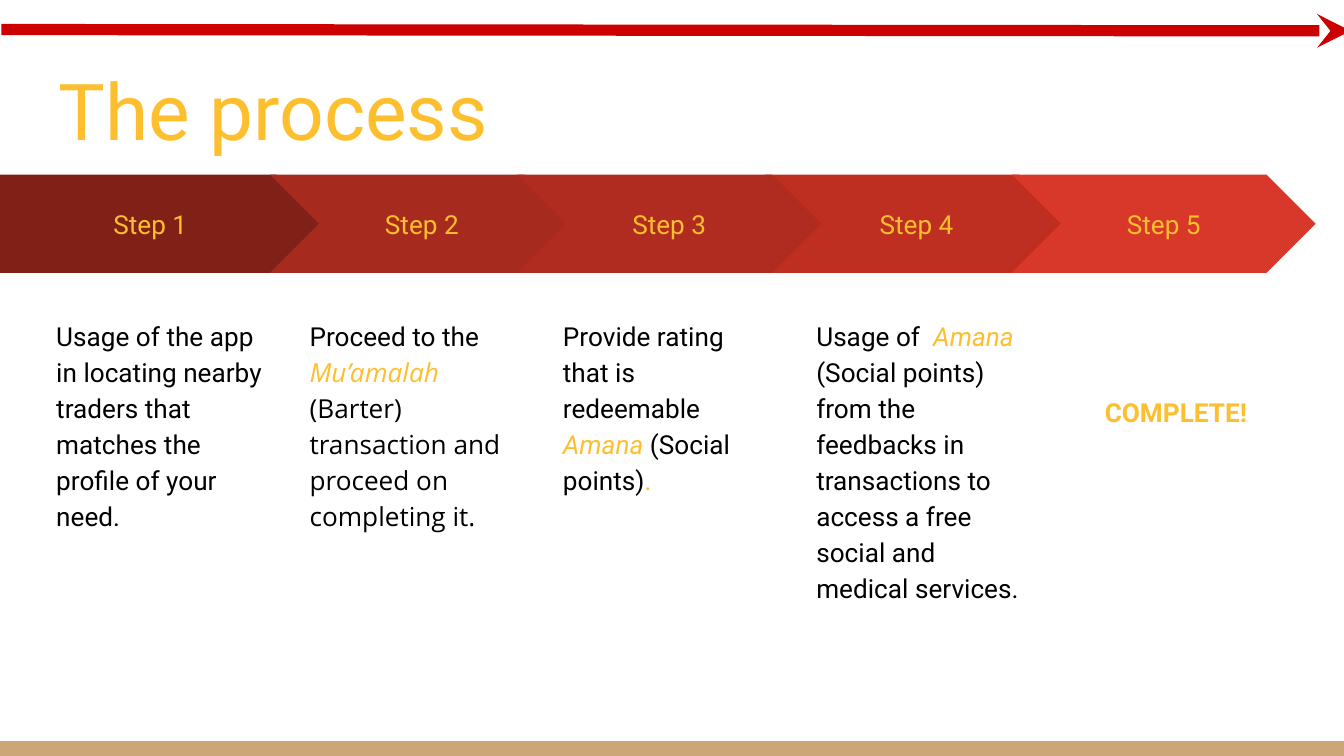
from dataclasses import dataclass

import pptx
import pptx.dml.color
import pptx.enum.shapes
import pptx.enum.text
import pptx.oxml
import pptx.oxml.ns
import pptx.util

SHAPES = pptx.enum.shapes.MSO_SHAPE
ALIGN = pptx.enum.text.PP_ALIGN
ANCHOR = pptx.enum.text.MSO_ANCHOR
inches = pptx.util.Inches


@dataclass(frozen=True)
class Theme:
    gold: str = "FDBF2D"
    ink: str = "000000"
    footer: str = "CCA677"
    arrow: str = "CC0000"
    steps: tuple = ("802017", "A72A1E", "B02C20", "BE2F22", "D83829")
    font: str = "Roboto"
    alternate_font: str = "Open Sans"
    title_size: int = 42
    body_size: int = 14
    line_spacing: float = 1.15


THEME = Theme()
SLIDE_WIDTH, SLIDE_HEIGHT = 10, 5.625
INSET = 0.1

# Grid: one row of step arrows above one row of descriptions
STEP_TOP, STEP_HEIGHT = 1.3, 0.73
FIRST_STEP_WIDTH, STEP_WIDTH = 2.42, 2.26
STEP_LEFT, STEP_PITCH = 0.17, 1.84
BODY_TOP, BODY_WIDTH, BODY_HEIGHT = 2.25, 1.78, 2.57
BODY_LEFT, BODY_PITCH = 0.32, 1.885
LINE_HEIGHT = 0.267

TERM = {"color": THEME.gold, "italic": True}
ALTERNATE = {"font": THEME.alternate_font}
DESCRIPTIONS = (
    [("Usage of the app in locating nearby traders that matches the "
      "profile of your need.", {})],
    [("Proceed to the ", {}),
     ("Mu’amalah", TERM | ALTERNATE),
     (" (Barter) transaction and proceed on completing it.", ALTERNATE)],
    [("Provide rating that is redeemable ", {}),
     ("Amana ", TERM),
     ("(Social points)", {}),
     (".", {"color": THEME.gold})],
    [("Usage of  ", {}),
     ("Amana ", TERM),
     ("(Social points) from the feedbacks in transactions to access a free "
      "social and medical services.", {})],
    [("COMPLETE!", {"color": THEME.gold, "bold": True})],
)


def rgb(value):
    return pptx.dml.color.RGBColor.from_string(value)


def write(shape, runs, size=THEME.body_size, color=THEME.ink, align=ALIGN.LEFT,
          anchor=ANCHOR.TOP, spacing=None, lines_down=0):
    """Fill a shape with runs of (text, format), lowered by whole lines."""
    frame = shape.text_frame
    frame.word_wrap = True
    frame.vertical_anchor = anchor
    frame.margin_left = frame.margin_right = frame.margin_bottom = inches(INSET)
    frame.margin_top = inches(INSET + lines_down * LINE_HEIGHT)
    paragraph = frame.paragraphs[0]
    paragraph.alignment = align
    paragraph.line_spacing = spacing
    for text, style in runs:
        run = paragraph.add_run()
        run.text = text
        run.font.size = pptx.util.Pt(size)
        run.font.name = style.get("font", THEME.font)
        run.font.color.rgb = rgb(style.get("color", color))
        run.font.bold = style.get("bold", False)
        run.font.italic = style.get("italic", False)


def add_block(slide, kind, box, fill):
    block = slide.shapes.add_shape(kind, *map(inches, box))
    block.shadow.inherit = False
    block.fill.solid()
    block.fill.fore_color.rgb = rgb(fill)
    block.line.fill.background()
    return block


def add_text(slide, box, runs, **style):
    write(slide.shapes.add_textbox(*map(inches, box)), runs, **style)


def add_step(slide, column):
    first = column == 0
    left = 0 if first else STEP_LEFT + column * STEP_PITCH
    width = FIRST_STEP_WIDTH if first else STEP_WIDTH
    kind = SHAPES.PENTAGON if first else SHAPES.CHEVRON
    step = add_block(slide, kind, (left, STEP_TOP, width, STEP_HEIGHT),
                     THEME.steps[column])
    step.adjustments[0] = 0.5
    write(step, [(f"Step {column + 1}", {})], color=THEME.gold,
          align=ALIGN.CENTER, anchor=ANCHOR.MIDDLE)


def add_description(slide, column):
    last = column == len(DESCRIPTIONS) - 1
    box = (BODY_LEFT + column * BODY_PITCH, BODY_TOP, BODY_WIDTH, BODY_HEIGHT)
    add_text(slide, box, DESCRIPTIONS[column], spacing=THEME.line_spacing,
             align=ALIGN.CENTER if last else ALIGN.LEFT,
             lines_down=4 if last else 0)


def add_arrow(slide, start, end):
    arrow = slide.shapes.add_connector(
        pptx.enum.shapes.MSO_CONNECTOR.STRAIGHT, *map(inches, start + end))
    arrow.line.color.rgb = rgb(THEME.arrow)
    arrow.line.width = pptx.util.Pt(6)
    head = pptx.oxml.parse_xml(
        f'<a:tailEnd {pptx.oxml.ns.nsdecls("a")} type="stealth"/>')
    arrow.line._get_or_add_ln().append(head)
    arrow._element.spPr.append(pptx.oxml.parse_xml(
        f'<a:effectLst {pptx.oxml.ns.nsdecls("a")}/>'))


def main():
    deck = pptx.Presentation()
    deck.slide_width, deck.slide_height = inches(SLIDE_WIDTH), inches(SLIDE_HEIGHT)
    slide = deck.slides.add_slide(deck.slide_layouts[6])

    # Footer band and title
    band = 0.11
    add_block(slide, SHAPES.RECTANGLE,
              (0, SLIDE_HEIGHT - band, SLIDE_WIDTH, band), THEME.footer)
    add_text(slide, (0.34, 0.35, 9.32, 0.91), [("The process", {})],
             size=THEME.title_size, color=THEME.gold, anchor=ANCHOR.BOTTOM)

    # Steps: the third one overlaps both of its neighbours
    for column in (0, 1, 3, 4, 2):
        add_step(slide, column)
        add_description(slide, column)

    # Arrow along the top edge
    add_arrow(slide, (0.01, 0.22), (10.05, 0.23))

    deck.save("out.pptx")


if __name__ == "__main__":
    main()
